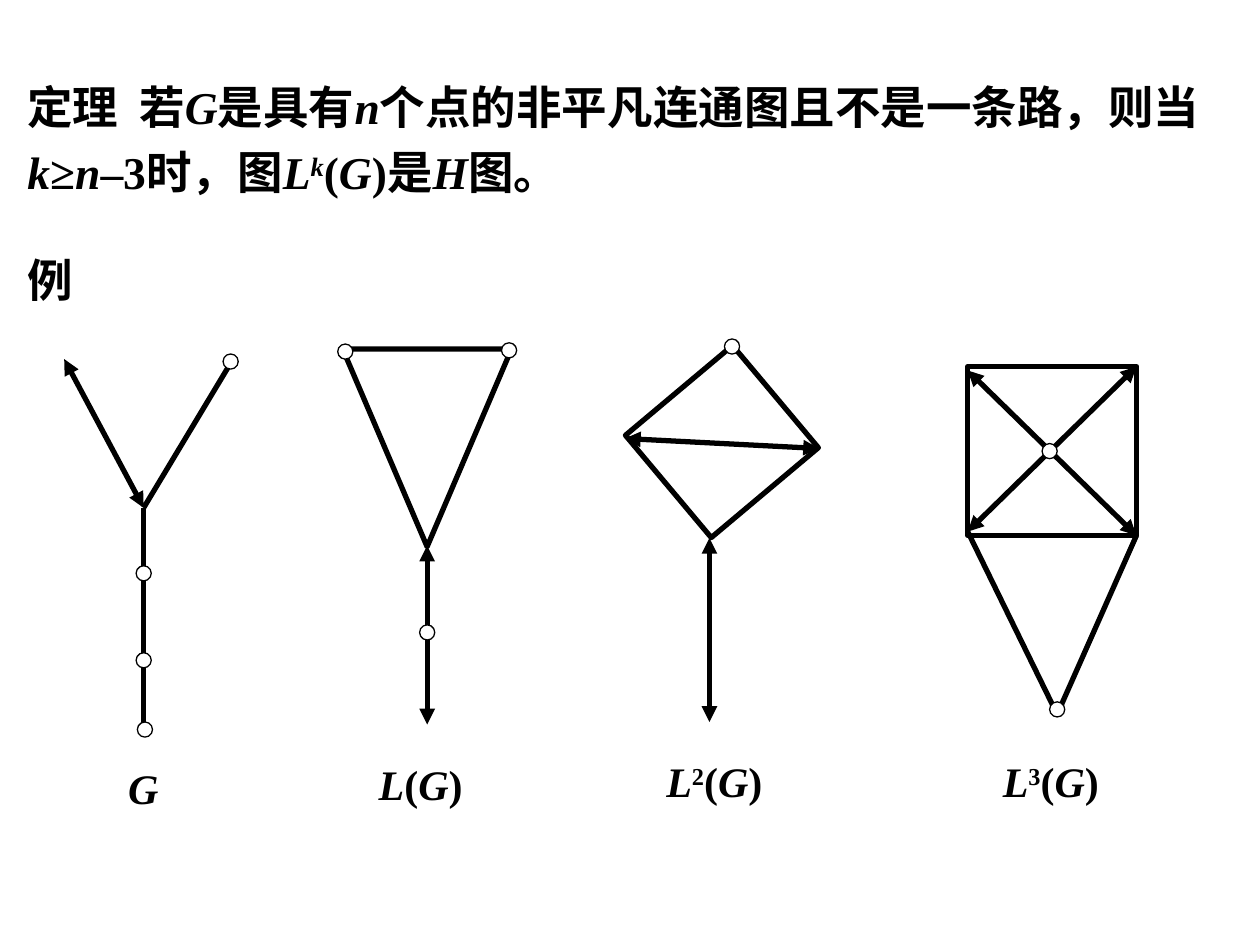
import pptx
import pptx.util
import pptx.dml.color
import pptx.enum.shapes
import pptx.enum.text
import pptx.oxml
import pptx.oxml.ns

Pt = pptx.util.Pt
SHAPE = pptx.enum.shapes.MSO_SHAPE
ALIGN = pptx.enum.text.PP_ALIGN
COLORS = {"ink": "000000", "paper": "FFFFFF"}
FONT = "Times New Roman"
DOT = 8.64


def color(name):
    return pptx.dml.color.RGBColor.from_string(COLORS[name])


def sub(parent, tag, **attrs):
    child = pptx.oxml.parse_xml(f"<a:{tag} {pptx.oxml.ns.nsdecls('a')}/>")
    for key, value in attrs.items():
        child.set(key, value)
    parent.append(child)
    return child


def text(shapes, words, x, y, w, h, size=24, align=ALIGN.CENTER, space=None, tab=None):
    # "_" switches italic, "^" switches superscript
    frame = shapes.add_textbox(Pt(x), Pt(y), Pt(w), Pt(h)).text_frame
    frame.word_wrap = True
    frame.auto_size = pptx.enum.text.MSO_AUTO_SIZE.SHAPE_TO_FIT_TEXT
    para = frame.paragraphs[0]
    if tab:
        tabs = sub(para._p.get_or_add_pPr(), "tabLst")
        sub(tabs, "tab", pos=str(Pt(tab)), algn="l")
    para.alignment = align
    para.line_spacing = space
    for i, part in enumerate(words.split("_")):
        for j, bit in enumerate(part.split("^")):
            if not bit:
                continue
            run = para.add_run()
            run.text = bit
            font = run.font
            font.name, font.size, font.bold = FONT, Pt(size), True
            font.italic = i % 2 == 1
            font.color.rgb = color("ink")
            if j % 2:
                run._r.get_or_add_rPr().set("baseline", "30000")


def edge(shapes, x1, y1, x2, y2, heads=False):
    kind = pptx.enum.shapes.MSO_CONNECTOR.STRAIGHT
    line = shapes.add_connector(kind, Pt(x1), Pt(y1), Pt(x2), Pt(y2))
    line.line.color.rgb = color("ink")
    line.line.width = Pt(3)
    if heads:
        for tag in ("headEnd", "tailEnd"):
            sub(line.line._get_or_add_ln(), tag, type="triangle")
    sub(line._element.spPr, "effectLst")


def shape(shapes, kind, x, y, w, h, fill=None, width=3, turn=0):
    item = shapes.add_shape(kind, Pt(x), Pt(y), Pt(w), Pt(h))
    item.shadow.inherit = False
    item.rotation = turn
    if fill:
        item.fill.solid()
        item.fill.fore_color.rgb = color(fill)
    else:
        item.fill.background()
    item.line.color.rgb = color("ink")
    item.line.width = Pt(width)


def dots(shapes, *spots):
    for x, y in spots:
        shape(shapes, SHAPE.OVAL, x - DOT / 2, y - DOT / 2, DOT, DOT, "paper", 0.75)


def tree(shapes):
    edge(shapes, 36.7, 205.2, 82.1, 290.2, heads=True)
    edge(shapes, 133.2, 205.2, 82.1, 290.2)
    edge(shapes, 82.1, 290.2, 82.1, 420.5)
    dots(shapes, (131.8, 206.6), (82.8, 416.9), (82.1, 327.6), (82.1, 377.3))
    text(shapes, "_G_", 66.2, 432, 27.4, 36, align=ALIGN.LEFT)


def first(shapes):
    shape(shapes, SHAPE.ISOSCELES_TRIANGLE, 195.8, 199.4, 96.5, 113, turn=180)
    edge(shapes, 244.1, 311.8, 244.1, 414, heads=True)
    dots(shapes, (197.3, 200.9), (290.9, 200.2), (244.1, 361.4))
    text(shapes, "_L_(_G_)", 206.6, 429.8, 67.7, 36)


def second(shapes):
    shape(shapes, SHAPE.RECTANGLE, 374.4, 212.4, 76.3, 79.9, turn=50)
    edge(shapes, 357.1, 250.6, 468, 256.3, heads=True)
    dots(shapes, (418.3, 198))
    edge(shapes, 405.4, 307.4, 405.4, 412.6, heads=True)
    text(shapes, "_L_^2^(_G_)", 371.5, 428.4, 73.4, 36)


def third(shapes):
    shape(shapes, SHAPE.RECTANGLE, 553, 209.5, 96.5, 96.5)
    edge(shapes, 553, 211.7, 649.4, 306, heads=True)
    edge(shapes, 649.4, 209.5, 553, 303.8, heads=True)
    edge(shapes, 553, 303.8, 604.1, 408.2)
    edge(shapes, 649.4, 306, 604.1, 408.2)
    dots(shapes, (599.8, 257.8), (604.1, 405.4))
    text(shapes, "_L_^3^(_G_)", 563.8, 428.4, 73.4, 36)


def main():
    deck = pptx.Presentation()
    deck.slide_width, deck.slide_height = Pt(720), Pt(540)
    slide = deck.slides.add_slide(deck.slide_layouts[6])
    text(slide.shapes,
         "定理\t若_G_是具有_n_个点的非平凡连通图且不是一条路，则当"
         "_k_≥_n_‒3时，图_L^k^_(_G_)是_H_图。",
         8.6, 35.3, 702.7, 82.1, size=26, align=ALIGN.LEFT, space=1.2, tab=64)
    text(slide.shapes, "例", 8.6, 140.4, 67.7, 38.9, size=26, align=ALIGN.LEFT)
    for draw in (tree, first, second, third):
        draw(slide.shapes.add_group_shape().shapes)
    deck.save("out.pptx")


if __name__ == "__main__":
    main()
